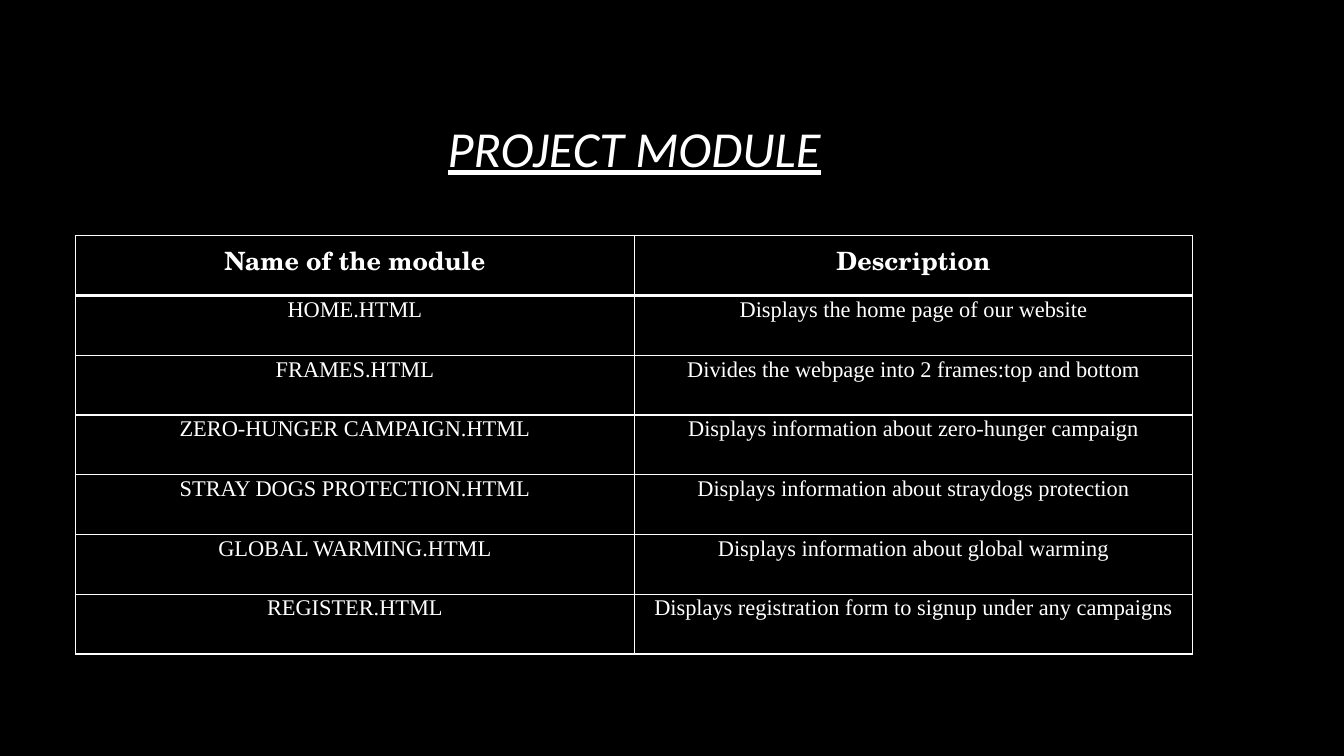
from lxml import etree
from pptx import Presentation
from pptx import util as u
from pptx.dml.color import RGBColor
from pptx.enum import text
from pptx.oxml.ns import qn

COLORS = {"background": "000000", "ink": "FFFFFF"}
MODULES = [
    ("Name of the module", "Description"),
    ("HOME.HTML", "Displays the home page of our website"),
    ("FRAMES.HTML", "Divides the webpage into 2 frames:top and bottom"),
    ("ZERO-HUNGER CAMPAIGN.HTML", "Displays information about zero-hunger campaign"),
    ("STRAY DOGS PROTECTION.HTML", "Displays information about straydogs protection"),
    ("GLOBAL WARMING.HTML", "Displays information about global warming"),
    ("REGISTER.HTML", "Displays registration form to signup under any campaigns"),
]


def write(frame, words, font, size, bold=False, italic=False, underline=False,
          line_spacing=None, space_after=None):
    """Put one centred paragraph into a text frame."""
    para = frame.paragraphs[0]
    para.alignment = text.PP_ALIGN.CENTER
    if line_spacing:
        para.line_spacing = line_spacing
    if space_after:
        para.space_after = u.Pt(space_after)
    span = para.add_run()
    span.text = words
    span.font.name = font
    span.font.size = u.Pt(size)
    span.font.bold = bold
    span.font.italic = italic
    span.font.underline = underline
    span.font.color.rgb = RGBColor.from_string(COLORS["ink"])


def add_border(cell, side, points):
    line = etree.SubElement(cell._tc.get_or_add_tcPr(), qn(f"a:ln{side}"), w=str(u.Pt(points)))
    fill = etree.SubElement(line, qn("a:solidFill"))
    etree.SubElement(fill, qn("a:srgbClr"), val=COLORS["ink"])


deck = Presentation()
deck.slide_width, deck.slide_height = u.Inches(13.33), u.Inches(7.5)
page = deck.slides.add_slide(deck.slide_layouts[5])
page.background.fill.solid()
page.background.fill.fore_color.rgb = RGBColor.from_string(COLORS["background"])

title = page.shapes.title
title.left, title.top = u.Inches(0.75), u.Inches(0.67)
title.width, title.height = u.Inches(11.08), u.Inches(1.59)
title.text_frame.vertical_anchor = text.MSO_ANCHOR.MIDDLE
write(title.text_frame, "PROJECT MODULE", "Calibri", 36, italic=True, underline=True)

table = page.shapes.add_table(len(MODULES), 2, u.Inches(0.75), u.Inches(2.34),
                              u.Inches(11.08), u.Inches(4.15)).table
table.horz_banding = False
for row_index, module in enumerate(MODULES):
    for column_index, words in enumerate(module):
        cell = table.cell(row_index, column_index)
        add_border(cell, "L", 1)
        add_border(cell, "R", 1)
        add_border(cell, "T", 3 if row_index == 1 else 1)
        add_border(cell, "B", 3 if row_index == 0 else 1)
        cell.fill.background()
        if row_index == 0:
            write(cell.text_frame, words, "TeX Gyre Schola", 18, bold=True)
        else:
            cell.margin_left = cell.margin_right = u.Inches(0.07)
            cell.margin_top = cell.margin_bottom = 0
            write(cell.text_frame, words, "Times New Roman", 16,
                  line_spacing=1.07, space_after=8)

deck.save("out.pptx")
